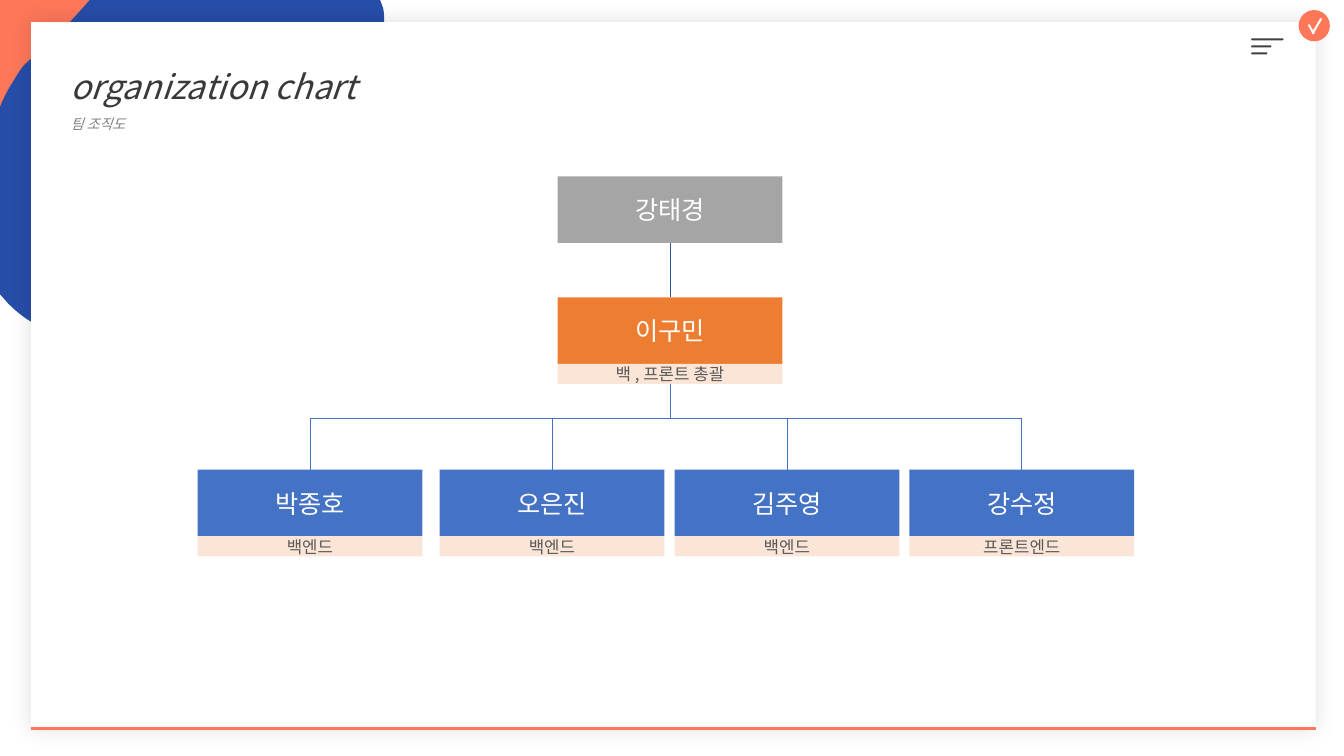
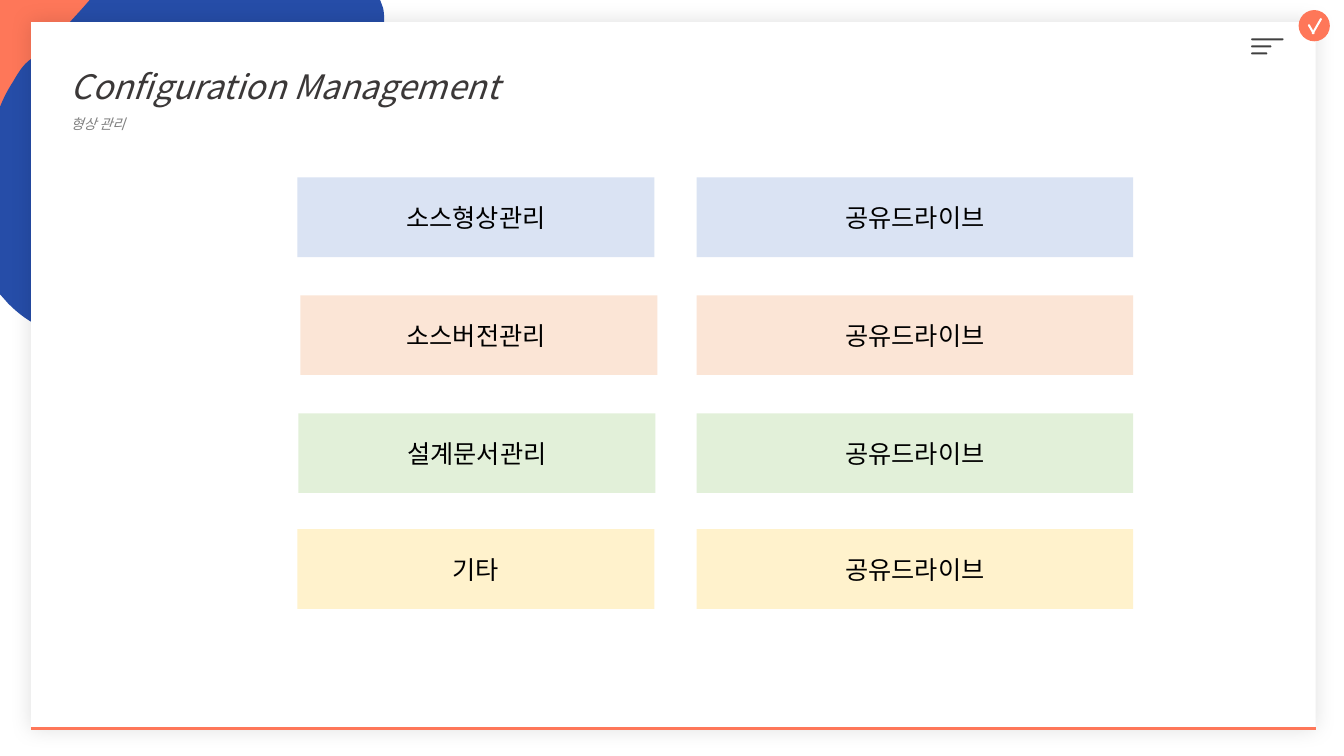
"""Build the team chart and configuration management slides."""
from dataclasses import dataclass
from typing import Any

import lxml.etree
import pptx
import pptx.dml.color
import pptx.enum.shapes
import pptx.enum.text
import pptx.oxml.ns
import pptx.util

Inches = pptx.util.Inches
Pt = pptx.util.Pt
Kind = pptx.enum.shapes.MSO_SHAPE
Align = pptx.enum.text.PP_ALIGN
Anchor = pptx.enum.text.MSO_ANCHOR
qn = pptx.oxml.ns.qn


@dataclass(frozen=True)
class Theme:
    font: str = "Noto Sans CJK KR"
    white: str = "FFFFFF"
    black: str = "000000"
    coral: str = "FE7759"
    navy: str = "264DA8"
    title: str = "3B3838"
    muted: str = "808080"
    menu: str = "404040"
    role: str = "595959"
    gray: str = "A5A5A5"
    orange: str = "ED7D31"
    blue: str = "4472C4"
    deep: str = "2F5597"
    sky: str = "DAE3F3"
    peach: str = "FBE5D6"
    mint: str = "E2F0D9"
    cream: str = "FFF2CC"
    head: int = 24
    name: int = 18
    note: int = 12
    sub: int = 10


@dataclass(frozen=True)
class Box:
    left: float
    top: float
    width: float
    height: float


@dataclass(frozen=True)
class Style:
    size: int
    color: str
    slant: bool = False


@dataclass(frozen=True)
class Member:
    left: float
    top: float
    name: str
    fill: str
    role: str = ""


@dataclass(frozen=True)
class Topic:
    left: float
    top: float
    label: str
    fill: str


THEME = Theme()
NAME = Style(THEME.name, THEME.white)
ROLE = Style(THEME.note, THEME.role)
LABEL = Style(THEME.name, THEME.black)
HEAD = Style(THEME.head, THEME.title, True)
SUB = Style(THEME.sub, THEME.muted, True)

CARD = Box(0.31, 0.22, 12.74, 7.02)
CARD_W, CARD_H, ROLE_H = 2.23, 0.66, 0.2
BUS = 4.15
CHIEF = Member(5.53, 1.75, "강태경", THEME.gray)
LEAD = Member(5.53, 2.95, "이구민", THEME.orange, "백 , 프론트 총괄")
TEAM = [
    Member(1.96, 4.66, "박종호", THEME.blue, "백엔드"),
    Member(4.36, 4.66, "오은진", THEME.blue, "백엔드"),
    Member(6.69, 4.66, "김주영", THEME.blue, "백엔드"),
    Member(9.02, 4.66, "강수정", THEME.blue, "프론트엔드"),
]
DRIVE = "공유드라이브"
TOPICS = [
    Topic(2.95, 1.76, "소스형상관리", THEME.sky),
    Topic(2.98, 2.93, "소스버전관리 ", THEME.peach),
    Topic(2.96, 4.1, "설계문서관리", THEME.mint),
    Topic(2.95, 5.25, "기타", THEME.cream),
]

CORNER = [
    (0, 0), (177, 0), (178, 3), (179, 6, 179, 8, 179, 11),
    (176, 55, 72, 150, 30, 181), (5, 200, 3, 202, 0, 200),
]
WAVE = [
    (89, 0), (377, 0), (380, 8), (381, 13, 381, 17, 381, 21),
    (377, 85, 221, 227, 160, 273), (99, 319, 147, 332, 84, 333),
    (45, 333, 23, 316, 8, 301), (0, 292), (0, 106),
    (4, 96, 9, 87, 13, 81), (27, 56, 31, 61, 44, 48), (56, 36, 64, 28, 82, 8),
]


def tint(color: str) -> Any:
    return pptx.dml.color.RGBColor.from_string(color)


def paint(shape: Any, color: str) -> None:
    shape.shadow.inherit = False
    shape.fill.solid()
    shape.fill.fore_color.rgb = tint(color)
    shape.line.fill.background()


def write(frame: Any, text: str, style: Style, align: Any) -> None:
    frame.word_wrap = True
    frame.auto_size = pptx.enum.text.MSO_AUTO_SIZE.NONE
    frame.margin_left = frame.margin_right = 0
    frame.margin_top = frame.margin_bottom = 0
    para = frame.paragraphs[0]
    para.alignment = align
    run = para.add_run()
    run.text = text
    run.font.size = Pt(style.size)
    run.font.italic = style.slant
    run.font.color.rgb = tint(style.color)
    run.font.name = THEME.font
    props = run._r.get_or_add_rPr()
    lxml.etree.SubElement(props, qn("a:ea"), typeface=THEME.font)


def block(slide: Any, box: Box, color: str, kind: Any = Kind.RECTANGLE) -> Any:
    shape = slide.shapes.add_shape(
        kind, Inches(box.left), Inches(box.top), Inches(box.width), Inches(box.height))
    paint(shape, color)
    return shape


def panel(slide: Any, box: Box, color: str, text: str, style: Style) -> None:
    frame = block(slide, box, color).text_frame
    frame.vertical_anchor = Anchor.MIDDLE
    write(frame, text, style, Align.CENTER)


def bar(slide: Any, box: Box, color: str, turn: float = 0) -> None:
    shape = block(slide, box, color, Kind.ROUNDED_RECTANGLE)
    shape.adjustments[0] = 0.5
    shape.rotation = turn


def line(slide: Any, start: tuple[float, float], end: tuple[float, float],
         color: str, width: float = 0.5) -> None:
    link = slide.shapes.add_connector(
        pptx.enum.shapes.MSO_CONNECTOR.STRAIGHT, *map(Inches, start + end))
    link.line.color.rgb = tint(color)
    link.line.width = Pt(width)
    lxml.etree.SubElement(link.element.spPr, qn("a:effectLst"))


def blob(slide: Any, steps: list[tuple[int, ...]], color: str) -> None:
    first, *rest = steps
    pen = slide.shapes.build_freeform(*first, scale=Inches(0.01))
    pen.add_line_segments([step[-2:] for step in rest], close=True)
    shape = pen.convert_to_shape()
    paint(shape, color)
    for node, step in zip(list(shape.element.iter(qn("a:lnTo"))), rest):
        if len(step) == 6:
            curve = lxml.etree.Element(qn("a:cubicBezTo"))
            for x, y in zip(step[::2], step[1::2]):
                lxml.etree.SubElement(curve, qn("a:pt"), x=str(x), y=str(y))
            node.getparent().replace(node, curve)


def shade(shape: Any, blur: float, alpha: int) -> None:
    glow = lxml.etree.SubElement(
        shape.element.spPr.find(qn("a:effectLst")), qn("a:outerShdw"),
        blurRad=str(Pt(blur)), dist="0", dir="0", algn="ctr", rotWithShape="0")
    ink = lxml.etree.SubElement(glow, qn("a:srgbClr"), val=THEME.black)
    lxml.etree.SubElement(ink, qn("a:alpha"), val=str(alpha * 1000))


def place(holder: Any, box: Box, text: str, style: Style) -> None:
    holder.left, holder.top = Inches(box.left), Inches(box.top)
    holder.width, holder.height = Inches(box.width), Inches(box.height)
    frame = holder.text_frame
    frame.vertical_anchor = Anchor.TOP
    para = frame.paragraphs[0]
    props = para._p.get_or_add_pPr()
    props.set("marL", "0")
    props.set("indent", "0")
    lxml.etree.SubElement(props, qn("a:buNone"))
    para.space_before = Pt(0)
    write(frame, text, style, Align.LEFT)
    holder.element.getparent().append(holder.element)


def start(deck: Any, title: str, sub: str) -> Any:
    slide = deck.slides.add_slide(deck.slide_layouts[1])
    blob(slide, CORNER, THEME.coral)
    blob(slide, WAVE, THEME.navy)
    shade(block(slide, CARD, THEME.white), 15, 12)
    for row, width in enumerate((0.32, 0.2, 0.16)):
        bar(slide, Box(12.41, 0.38 + 0.07 * row, width, 0.02), THEME.menu)
    line(slide, (CARD.left, 7.23), (CARD.left + CARD.width, 7.23), THEME.coral, 2)
    block(slide, Box(12.88, 0.1, 0.31, 0.31), THEME.coral, Kind.OVAL)
    bar(slide, Box(12.97, 0.25, 0.18, 0.02), THEME.white, 120)
    bar(slide, Box(12.95, 0.28, 0.11, 0.02), THEME.white, 60)
    place(slide.shapes.title, Box(0.7, 0.65, 11.5, 0.5), title, HEAD)
    place(slide.placeholders[1], Box(0.7, 1.15, 11.5, 0.25), sub, SUB)
    return slide


def person(slide: Any, who: Member) -> None:
    panel(slide, Box(who.left, who.top, CARD_W, CARD_H), who.fill, who.name, NAME)
    if who.role:
        tag = Box(who.left, who.top + CARD_H, CARD_W, ROLE_H)
        panel(slide, tag, THEME.peach, who.role, ROLE)


def chart(deck: Any) -> None:
    slide = start(deck, "organization chart", "팀 조직도")
    for who in (CHIEF, LEAD, *TEAM):
        person(slide, who)
    trunk = LEAD.left + CARD_W / 2
    stems = [who.left + CARD_W / 2 for who in TEAM]
    line(slide, (trunk, CHIEF.top + CARD_H), (trunk, LEAD.top), THEME.deep)
    line(slide, (trunk, LEAD.top + CARD_H + ROLE_H), (trunk, BUS), THEME.blue)
    for end in (stems[0], stems[-1]):
        line(slide, (trunk, BUS), (end, BUS), THEME.blue)
    for stem, who in zip(stems, TEAM):
        line(slide, (stem, BUS), (stem, who.top), THEME.blue)


def config(deck: Any) -> None:
    slide = start(deck, "Configuration Management", "형상 관리")
    for topic in TOPICS:
        label = Box(topic.left, topic.top, 3.54, 0.79)
        drive = Box(6.91, topic.top, 4.33, 0.79)
        panel(slide, label, topic.fill, topic.label, LABEL)
        panel(slide, drive, topic.fill, DRIVE, LABEL)


def main() -> None:
    deck = pptx.Presentation()
    deck.slide_width, deck.slide_height = Inches(13.33), Inches(7.5)
    chart(deck)
    config(deck)
    deck.save("out.pptx")


if __name__ == "__main__":
    main()
